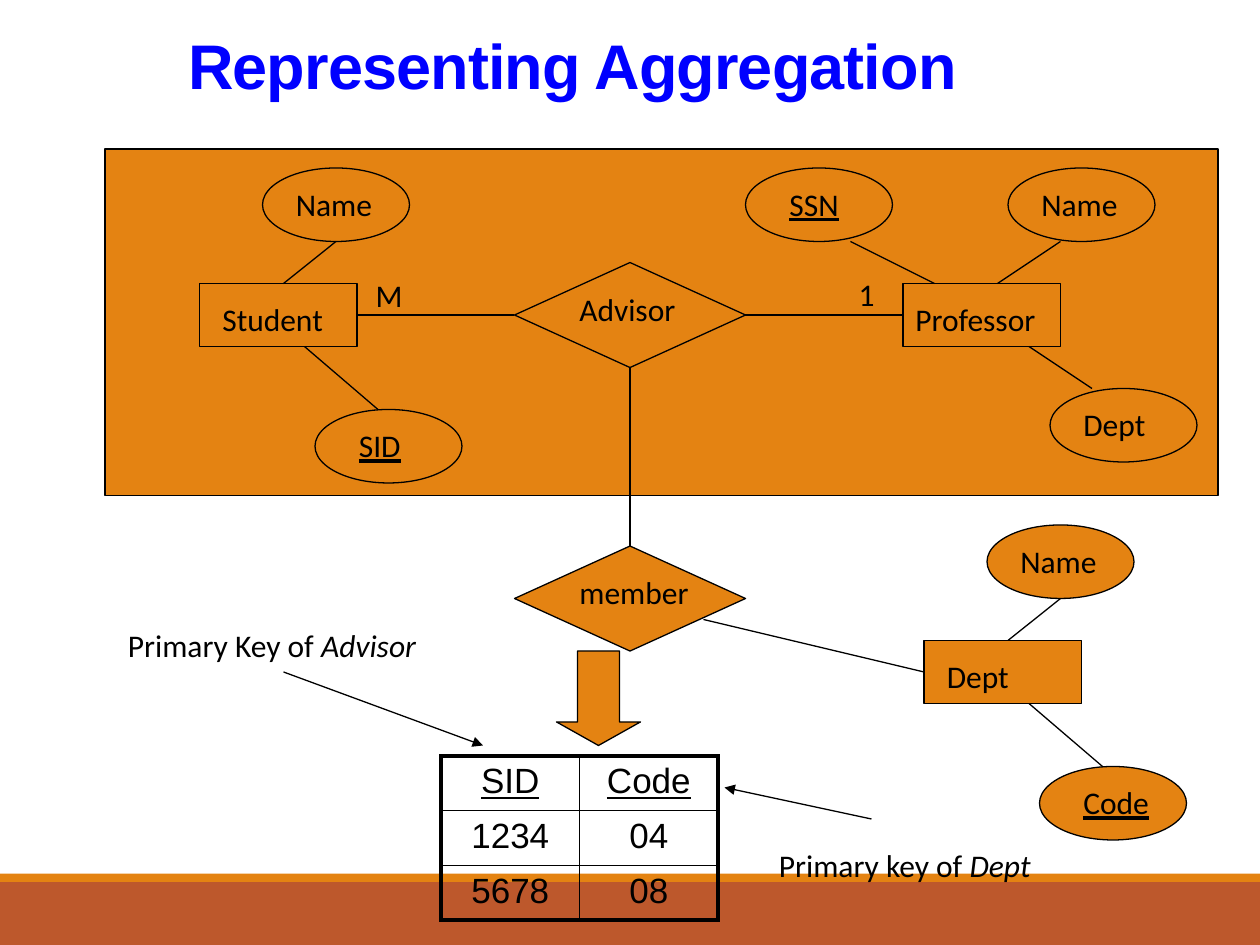
from lxml import etree
from pptx import Presentation
from pptx.dml.color import RGBColor
from pptx.enum.shapes import MSO_CONNECTOR, MSO_SHAPE
from pptx.enum.text import MSO_ANCHOR, PP_ALIGN
from pptx.oxml.ns import qn
from pptx.util import Pt

PX = 7620
RECT, OVAL = MSO_SHAPE.RECTANGLE, MSO_SHAPE.OVAL
DIAMOND, ARROW = MSO_SHAPE.FLOWCHART_DECISION, MSO_SHAPE.DOWN_ARROW
STRAIGHT = MSO_CONNECTOR.STRAIGHT
LEFT, CENTER = PP_ALIGN.LEFT, PP_ALIGN.CENTER
BOTTOM = MSO_ANCHOR.BOTTOM
COLORS = {"orange": "E48312", "rust": "BD582C", "black": "000000",
          "blue": "0000FF", "white": "FFFFFF"}
RGB = {name: RGBColor.from_string(value) for name, value in COLORS.items()}


def write(tf, text, italic_tail="", size=18, font="Calibri", color="black",
          bold=False, underline=False, align=LEFT):
    tf.word_wrap = True
    p = tf.paragraphs[0]
    p.alignment = align
    for part, italic in ((text, False), (italic_tail, True)):
        if part:
            r = p.add_run()
            r.text = part
            r.font.size = Pt(size)
            r.font.name = font
            r.font.color.rgb = RGB[color]
            r.font.bold = bold
            r.font.italic = italic
            r.font.underline = underline
    return p


prs = Presentation()
prs.slide_width, prs.slide_height = 1200 * PX, 900 * PX
s = prs.slides.add_slide(prs.slide_layouts[5])

title = s.shapes.title
title.left, title.top, title.width, title.height = 60 * PX, 30 * PX, 970 * PX, 74 * PX
title.text_frame.vertical_anchor = BOTTOM
p = write(title.text_frame, "Representing Aggregation", size=36, font="Arial",
          color="blue", bold=True, align=CENTER)
p.line_spacing = 0.85
p.runs[0].font._element.set("spc", "-50")

shapes = [
    (RECT, 0, 840, 1200, 60, "rust", False),
    (RECT, 0, 832, 1200, 8, "orange", False),
    (RECT, 100, 142, 1060, 330, "orange", True),
]
entities = [(190, 270), (860, 270), (880, 610)]
attributes = [(250, 160), (300, 390), (710, 160), (960, 160),
              (1000, 370), (940, 500), (990, 730)]
relationships = [(490, 250), (490, 520)]
shapes += [(RECT, x, y, 150, 60, "orange", True) for x, y in entities]
shapes += [(OVAL, x, y, 140, 70, "orange", True) for x, y in attributes]
shapes += [(DIAMOND, x, y, 220, 100, "orange", True) for x, y in relationships]
shapes.append((ARROW, 530, 620, 80, 90, "orange", True))
for kind, x, y, w, h, color, outlined in shapes:
    sp = s.shapes.add_shape(kind, x * PX, y * PX, w * PX, h * PX)
    sp.shadow.inherit = False
    sp.fill.solid()
    sp.fill.fore_color.rgb = RGB[color]
    if outlined:
        sp.line.color.rgb = RGB["black"]
        sp.line.width = Pt(0.75)
    else:
        sp.line.fill.background()
    if kind == ARROW:
        sp.adjustments[0], sp.adjustments[1] = 0.5, 0.28

links = [
    (320, 230, 270, 270, False), (360, 390, 290, 330, False),
    (340, 300, 490, 300, False), (710, 300, 860, 300, False),
    (810, 230, 890, 270, False), (1010, 230, 950, 270, False),
    (1040, 370, 980, 330, False), (1010, 570, 960, 610, False),
    (1050, 730, 980, 670, False), (880, 640, 670, 590, False),
    (600, 520, 600, 350, False),
    (270, 640, 460, 710, True), (830, 780, 690, 750, True),
]
for x1, y1, x2, y2, arrow in links:
    c = s.shapes.add_connector(STRAIGHT, x1 * PX, y1 * PX, x2 * PX, y2 * PX)
    c.line.color.rgb = RGB["black"]
    c.line.width = Pt(0.75)
    if arrow:
        etree.SubElement(c.line._get_or_add_ln(), qn("a:tailEnd"), type="triangle")
    etree.SubElement(c._element.spPr, qn("a:effectLst"))

labels = [
    ("Student", 200, 280, 130, {}), ("Name", 270, 170, 110, {}),
    ("SID", 330, 400, 90, {"underline": True}), ("Advisor", 540, 270, 130, {}),
    ("Professor", 860, 280, 160, {}), ("SSN", 740, 170, 100, {"underline": True}),
    ("Name", 980, 170, 110, {}), ("Dept", 1020, 380, 100, {}),
    ("Dept", 890, 620, 130, {}), ("Name", 960, 510, 110, {}),
    ("Code", 1020, 740, 110, {"underline": True}), ("member", 540, 540, 150, {}),
    ("Primary Key of ", 110, 590, 340, {"italic_tail": "Advisor"}),
    ("Primary key of ", 730, 800, 290, {"italic_tail": "Dept"}),
    ("1", 806, 256, 79, {}), ("M", 346, 257, 79, {}),
]
for text, x, y, w, style in labels:
    tb = s.shapes.add_textbox(x * PX, y * PX, w * PX, 48 * PX)
    write(tb.text_frame, text, **style)

rows = [("SID", "Code"), ("1234", "04"), ("5678", "08")]
last_row, last_col = len(rows) - 1, len(rows[0]) - 1
table = s.shapes.add_table(len(rows), len(rows[0]), 420 * PX, 720 * PX,
                           265 * PX, 156 * PX).table
table.first_row = table.horz_banding = False
for column in table.columns:
    column.width = 132 * PX
for i, row in enumerate(rows):
    table.rows[i].height = 52 * PX
    for j, text in enumerate(row):
        cell = table.cell(i, j)
        write(cell.text_frame, text, size=20, font="Arial",
              underline=i == 0, align=CENTER)
        tcPr = cell._tc.get_or_add_tcPr()
        edges = {"lnL": j == 0, "lnR": j == last_col,
                 "lnT": i == 0, "lnB": i == last_row}
        for edge, outer in edges.items():
            ln = etree.SubElement(tcPr, qn("a:" + edge),
                                  w=str(Pt(2.25 if outer else 1)))
            fill = etree.SubElement(ln, qn("a:solidFill"))
            etree.SubElement(fill, qn("a:srgbClr"), val=COLORS["black"])
        if i == 1:
            cell.fill.solid()
            cell.fill.fore_color.rgb = RGB["white"]
        else:
            cell.fill.background()

prs.save("out.pptx")
